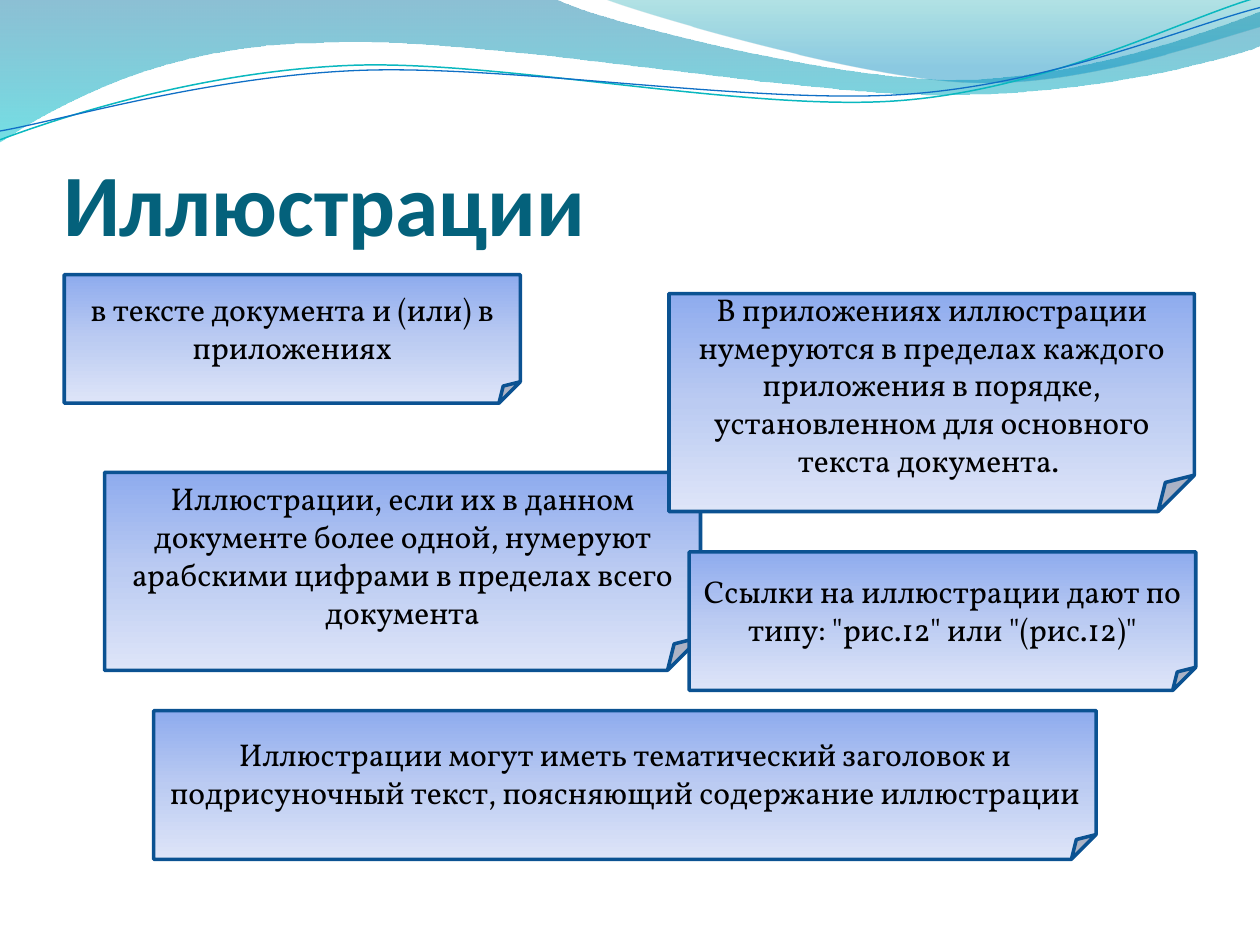
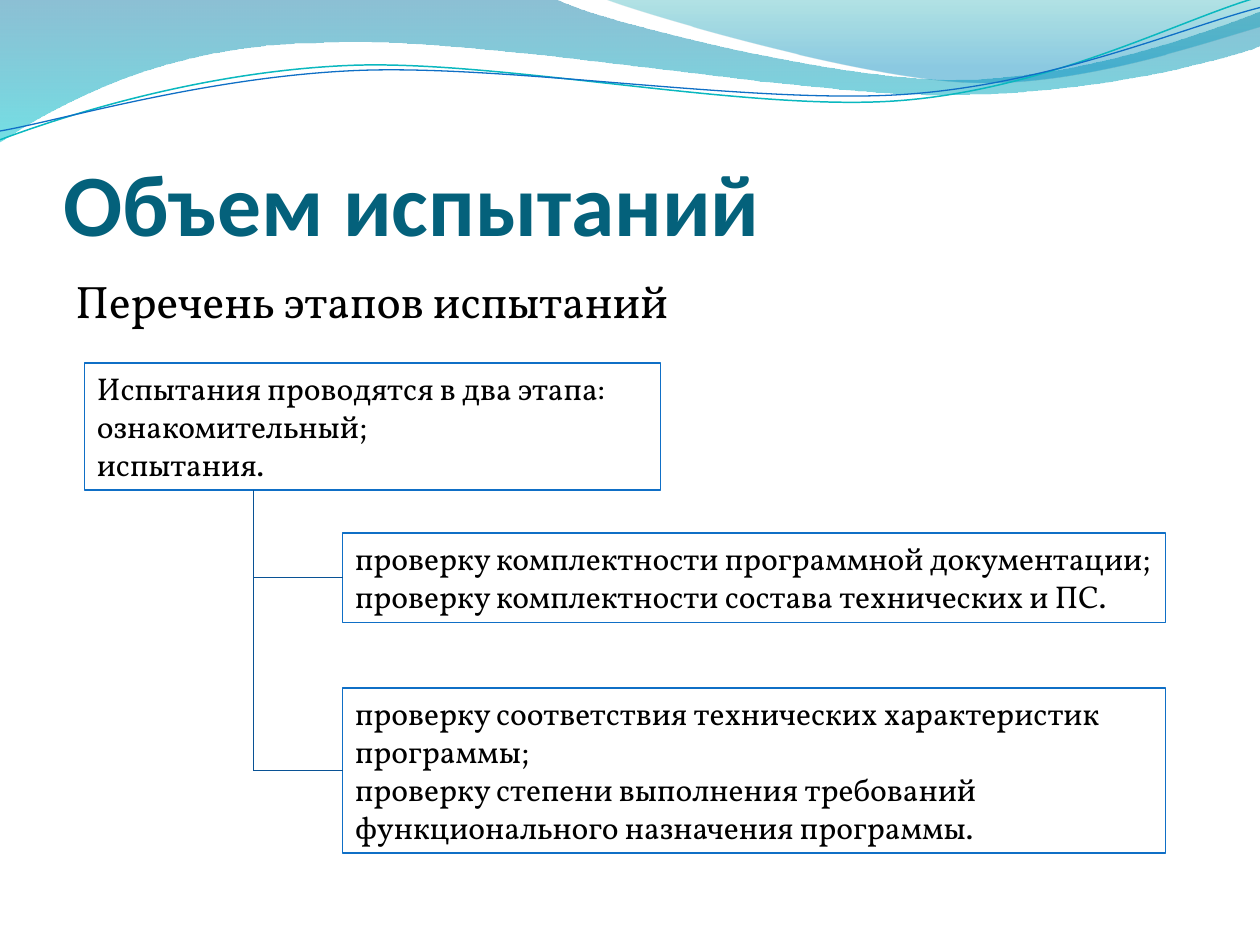
from lxml import etree
from pptx import Presentation
from pptx.dml.color import RGBColor
from pptx.enum.shapes import MSO_CONNECTOR, MSO_SHAPE
from pptx.enum.text import MSO_ANCHOR, MSO_AUTO_SIZE, PP_ALIGN
from pptx.oxml.ns import qn
from pptx.util import Inches, Pt

LEFT, CENTER = PP_ALIGN.LEFT, PP_ALIGN.CENTER
TOP, MIDDLE, BOTTOM = MSO_ANCHOR.TOP, MSO_ANCHOR.MIDDLE, MSO_ANCHOR.BOTTOM
FIXED, GROW = MSO_AUTO_SIZE.NONE, MSO_AUTO_SIZE.SHAPE_TO_FIT_TEXT
NOTE, RECT = MSO_SHAPE.FOLDED_CORNER, MSO_SHAPE.RECTANGLE
STRAIGHT = MSO_CONNECTOR.STRAIGHT

HEAD_FONT, BODY_FONT = "Calibri", "Vollkorn"
TEAL, BLUE, CYAN, NAVY, STEEL = "04617B", "0F6FC6", "0AB8BF", "0B5292", "095295"
NOTE_FILL = [(0, "8EABEE", 100), (50, "BBCBF2", 100), (100, "DEE5F8", 100)]

# Each path: a start point, then points (2 numbers) or Bezier curves (6 numbers).
WAVES = [
    ([(0, -0.01), (4.4, -0.01), (4.76, 0.17, 6.64, 0.63, 7.58, 0.63),
      (8.53, 0.63, 9.58, 0.26, 10, 0.09), (10.01, 0.36),
      (9.83, 0.44, 8.7, 0.76, 7.46, 0.75), (6.22, 0.75, 3.82, 0.28, 2.57, 0.34),
      (1.29, 0.35, 0.46, 0.83, -0.01, 1.13)],
     [(0, "0074A1", 45), (100, "00C6CF", 55)]),
    ([(4.79, -0.01), (5.09, 0.11, 6.82, 0.62, 7.69, 0.65),
      (8.56, 0.69, 9.61, 0.32, 10, 0.21), (10, 0)],
     [(0, "00A1A9", 30), (80, "008BBF", 45)]),
]
THREADS = [
    ([(0, 1.11), (0.48, 0.93, 1.58, 0.57, 2.77, 0.52),
      (3.95, 0.47, 5.93, 0.89, 7.13, 0.8), (8.33, 0.71, 9.38, 0.15, 9.98, -0.02)],
     CYAN, 0.85),
    ([(0, 1.04), (0.47, 0.96, 1.64, 0.61, 2.83, 0.56),
      (4.03, 0.51, 5.97, 0.83, 7.17, 0.75), (8.36, 0.67, 9.41, 0.21, 10, 0.06)],
     BLUE, 0.75),
]


def rgb(code):
    return RGBColor.from_string(code)


def bend(shape, path):
    """Turn the straight segments that path gives as curves into Bezier curves."""
    lines = list(shape.element.iter(qn("a:lnTo")))
    for line, part in zip(lines, path[1:]):
        if len(part) == 2:
            continue
        curve = etree.Element(qn("a:cubicBezTo"))
        for x, y in zip(part[::2], part[1::2]):
            etree.SubElement(curve, qn("a:pt"), x=str(Inches(x) - shape.left),
                             y=str(Inches(y) - shape.top))
        line.getparent().replace(line, curve)


def shade(shape, stops):
    """Fill from top to bottom with (position, colour, opacity) stops."""
    shape.fill.gradient()
    shape.fill.gradient_angle = 270
    stop_list = shape.element.spPr.find(qn("a:gradFill")).find(qn("a:gsLst"))
    for old in list(stop_list):
        stop_list.remove(old)
    for place, code, alpha in stops:
        stop = etree.SubElement(stop_list, qn("a:gs"), pos=str(place * 1000))
        color = etree.SubElement(stop, qn("a:srgbClr"), val=code)
        if alpha < 100:
            etree.SubElement(color, qn("a:alpha"), val=str(alpha * 1000))


def outline(shape, color, width):
    shape.line.color.rgb = rgb(color)
    shape.line.width = Pt(width)


def write(shape, *lines, size=18, font=BODY_FONT, color="000000", bold=False,
          align=LEFT, anchor=TOP, fit=FIXED, inset=(0.1, 0.05, 0.1, 0.05)):
    frame = shape.text_frame
    frame.word_wrap = True
    frame.auto_size = fit
    frame.vertical_anchor = anchor
    (frame.margin_left, frame.margin_top,
     frame.margin_right, frame.margin_bottom) = map(Inches, inset)
    frame.text = "\n".join(lines)
    for para in frame.paragraphs:
        para.alignment = align
        for run in para.runs:
            run.font.name = font
            run.font.size = Pt(size)
            run.font.bold = bold
            run.font.color.rgb = rgb(color)


class Deck:
    def __init__(self):
        self.prs = Presentation()
        self.prs.slide_width, self.prs.slide_height = Inches(10), Inches(7.5)
        self.slide = None

    def start(self, title):
        self.slide = self.prs.slides.add_slide(self.prs.slide_layouts[5])
        head = self.slide.shapes.title
        head.left, head.top = Inches(0.5), Inches(0.77)
        head.width, head.height = Inches(9), Inches(1.25)
        write(head, title, size=50, font=HEAD_FONT, color=TEAL, bold=True,
              anchor=BOTTOM, inset=(0, 0.05, 0, 0))

    def curve(self, path, closed):
        first, *rest = [tuple(map(Inches, part[-2:])) for part in path]
        pen = self.slide.shapes.build_freeform(*first)
        pen.add_line_segments(rest, close=closed)
        shape = pen.convert_to_shape()
        shape.shadow.inherit = False
        bend(shape, path)
        return shape

    def band(self):
        """Draw the wavy top band and move it to the slide master."""
        shapes = []
        for path, stops in WAVES:
            wave = self.curve(path, True)
            shade(wave, stops)
            wave.line.fill.background()
            shapes.append(wave)
        for path, color, width in THREADS:
            thread = self.curve(path, False)
            thread.fill.background()
            outline(thread, color, width)
            shapes.append(thread)
        tree = self.prs.slide_master.shapes.element
        for index, shape in enumerate(shapes):
            shape.element.nvSpPr.cNvPr.set("id", str(100 + index))
            tree.insert(2 + index, shape.element)

    def shape(self, kind, box, color, width):
        shape = self.slide.shapes.add_shape(kind, *map(Inches, box))
        shape.shadow.inherit = False
        outline(shape, color, width)
        return shape

    def note(self, box, text):
        note = self.shape(NOTE, box, NAVY, 2)
        shade(note, NOTE_FILL)
        write(note, text, align=CENTER, anchor=MIDDLE)

    def frame(self, box, *lines):
        frame = self.shape(RECT, box, BLUE, 0.75)
        frame.fill.background()
        write(frame, *lines, fit=GROW)
        return frame

    def label(self, box, text, size):
        write(self.slide.shapes.add_textbox(*map(Inches, box)), text, size=size)

    def link(self, x1, y1, x2, y2, target=None):
        """Draw a line, joined to the left side of target if there is one."""
        link = self.slide.shapes.add_connector(STRAIGHT, x1, y1, x2, y2)
        outline(link, STEEL, 0.75)
        etree.SubElement(link.element.spPr, qn("a:effectLst"))
        if target is not None:
            link.end_connect(target, 1)


def figures(deck):
    deck.start("Иллюстрации")
    deck.band()
    for box, text in [
        ((0.51, 2.18, 3.62, 1.02), "в тексте документа и (или) в приложениях"),
        ((0.83, 3.75, 4.73, 1.57),
         "Иллюстрации, если их в данном документе более одной, нумеруют "
         "арабскими цифрами в пределах всего документа"),
        ((5.31, 2.33, 4.17, 1.73),
         "В приложениях иллюстрации нумеруются в пределах каждого приложения "
         "в порядке, установленном для основного текста документа. "),
        ((5.47, 4.38, 4.02, 1.1),
         'Ссылки на иллюстрации дают по типу: "рис.12" или "(рис.12)"'),
        ((1.22, 5.64, 7.48, 1.18),
         "Иллюстрации могут иметь тематический заголовок и подрисуночный "
         "текст, поясняющий содержание иллюстрации"),
    ]:
        deck.note(box, text)


def tests(deck):
    deck.start("Объем испытаний")
    deck.label((0.5, 2.12, 9, 4.8), "Перечень этапов испытаний", 26)
    root = deck.frame((0.67, 2.88, 4.57, 1.01), "Испытания проводятся в два этапа:",
                      "ознакомительный;", "испытания.")
    stages = [
        deck.frame((2.72, 4.23, 6.53, 0.71),
                   "проверку комплектности программной документации;",
                   "проверку комплектности состава технических и ПС."),
        deck.frame((2.72, 5.46, 6.53, 1.31),
                   "проверку соответствия технических характеристик программы;",
                   "проверку степени выполнения требований функционального "
                   "назначения программы."),
    ]
    trunk = Inches(2.01)
    for stage in stages:
        mid = stage.top + stage.height // 2
        deck.link(trunk, mid, stage.left, mid, stage)
    deck.link(trunk, root.top + root.height, trunk, mid)


def main():
    deck = Deck()
    figures(deck)
    tests(deck)
    deck.prs.save("out.pptx")


if __name__ == "__main__":
    main()
